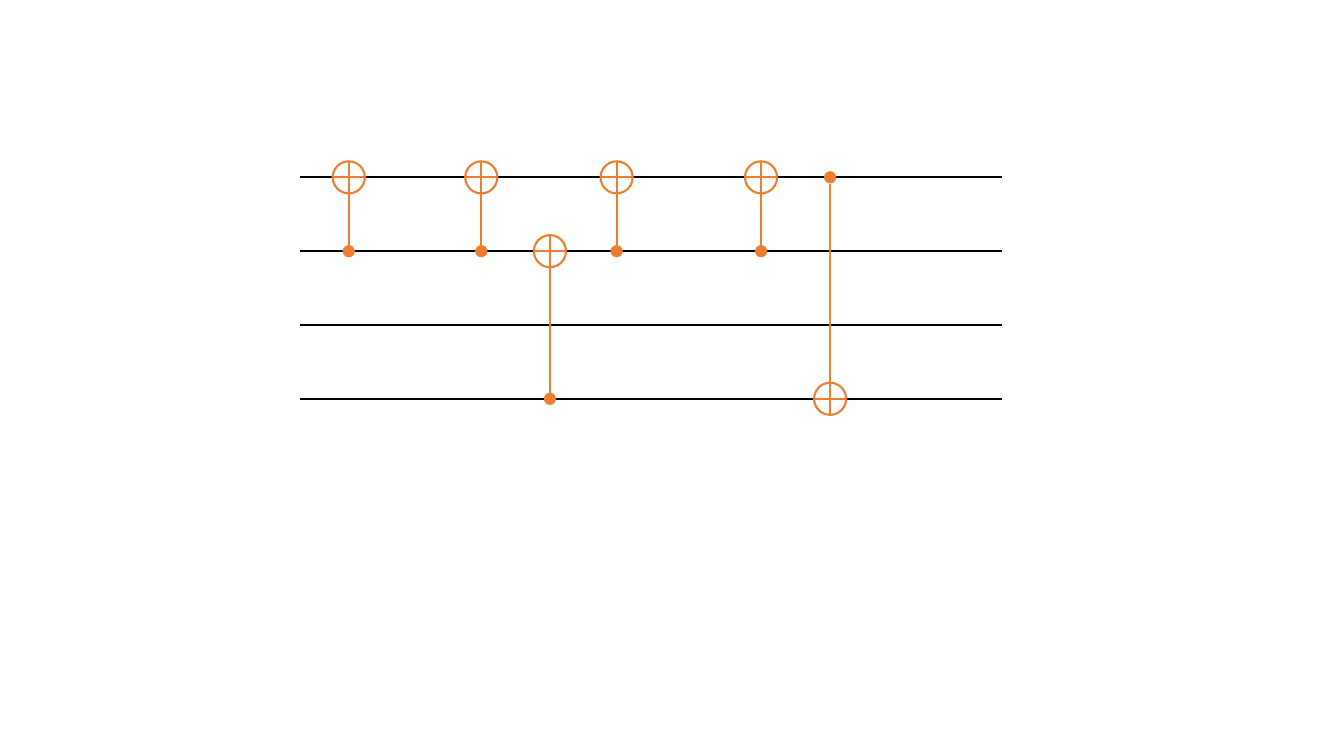
from lxml import etree
from pptx import Presentation
from pptx.dml.color import RGBColor
from pptx.enum.shapes import MSO_CONNECTOR, MSO_SHAPE
from pptx.oxml.ns import qn
from pptx.util import Cm, Pt

STRAIGHT = MSO_CONNECTOR.STRAIGHT
TARGET = MSO_SHAPE.FLOWCHART_OR
CONTROL = MSO_SHAPE.FLOWCHART_CONNECTOR

BLACK = RGBColor(0x00, 0x00, 0x00)
WHITE = RGBColor(0xFF, 0xFF, 0xFF)
ORANGE = RGBColor(0xED, 0x7D, 0x31)

# Circuit geometry in centimetres
WIRE_LEFT, WIRE_RIGHT = 7.57, 25.25
WIRE_TOP, WIRE_PITCH, WIRE_COUNT = 4.47, 1.86, 4
TARGET_SIZE, CONTROL_SIZE = 0.81, 0.31

# Gates: centre x, target wire, control wire
GATES = [
    (8.79, 0, 1),
    (12.13, 0, 1),
    (13.86, 1, 3),
    (20.92, 3, 0),
    (15.54, 0, 1),
    (19.18, 0, 1),
]


class Circuit:
    """Draws wires and controlled-NOT gates on one slide."""

    def __init__(self, slide, line_width=Pt(1.5)):
        self.slide = slide
        self.line_width = line_width

    def wire_y(self, index):
        return WIRE_TOP + index * WIRE_PITCH

    def line(self, x1, y1, x2, y2, color):
        connector = self.slide.shapes.add_connector(
            STRAIGHT, Cm(x1), Cm(y1), Cm(x2), Cm(y2))
        connector.line.color.rgb = color
        connector.line.width = self.line_width
        etree.SubElement(connector._element.spPr, qn("a:effectLst"))

    def node(self, kind, x, y, size, fill, outline=None):
        shape = self.slide.shapes.add_shape(
            kind, Cm(x - size / 2), Cm(y - size / 2), Cm(size), Cm(size))
        shape.shadow.inherit = False
        shape.fill.solid()
        shape.fill.fore_color.rgb = fill
        if outline is None:
            shape.line.fill.background()
        else:
            shape.line.color.rgb = outline
            shape.line.width = self.line_width

    def wire(self, index):
        y = self.wire_y(index)
        self.line(WIRE_LEFT, y, WIRE_RIGHT, y, BLACK)

    def gate(self, x, target, control):
        target_y, control_y = self.wire_y(target), self.wire_y(control)
        direction = 1 if target_y > control_y else -1
        self.node(TARGET, x, target_y, TARGET_SIZE, WHITE, ORANGE)
        self.node(CONTROL, x, control_y, CONTROL_SIZE, ORANGE)
        self.line(x, control_y + direction * CONTROL_SIZE / 2,
                  x, target_y - direction * TARGET_SIZE / 2, ORANGE)


def main():
    presentation = Presentation()
    presentation.slide_width = Cm(33.87)
    presentation.slide_height = Cm(19.05)
    blank_layout = presentation.slide_layouts[6]
    circuit = Circuit(presentation.slides.add_slide(blank_layout))

    # Wires lie behind the gates
    for index in range(WIRE_COUNT):
        circuit.wire(index)
    for x, target, control in GATES:
        circuit.gate(x, target, control)

    presentation.save("out.pptx")


if __name__ == "__main__":
    main()
